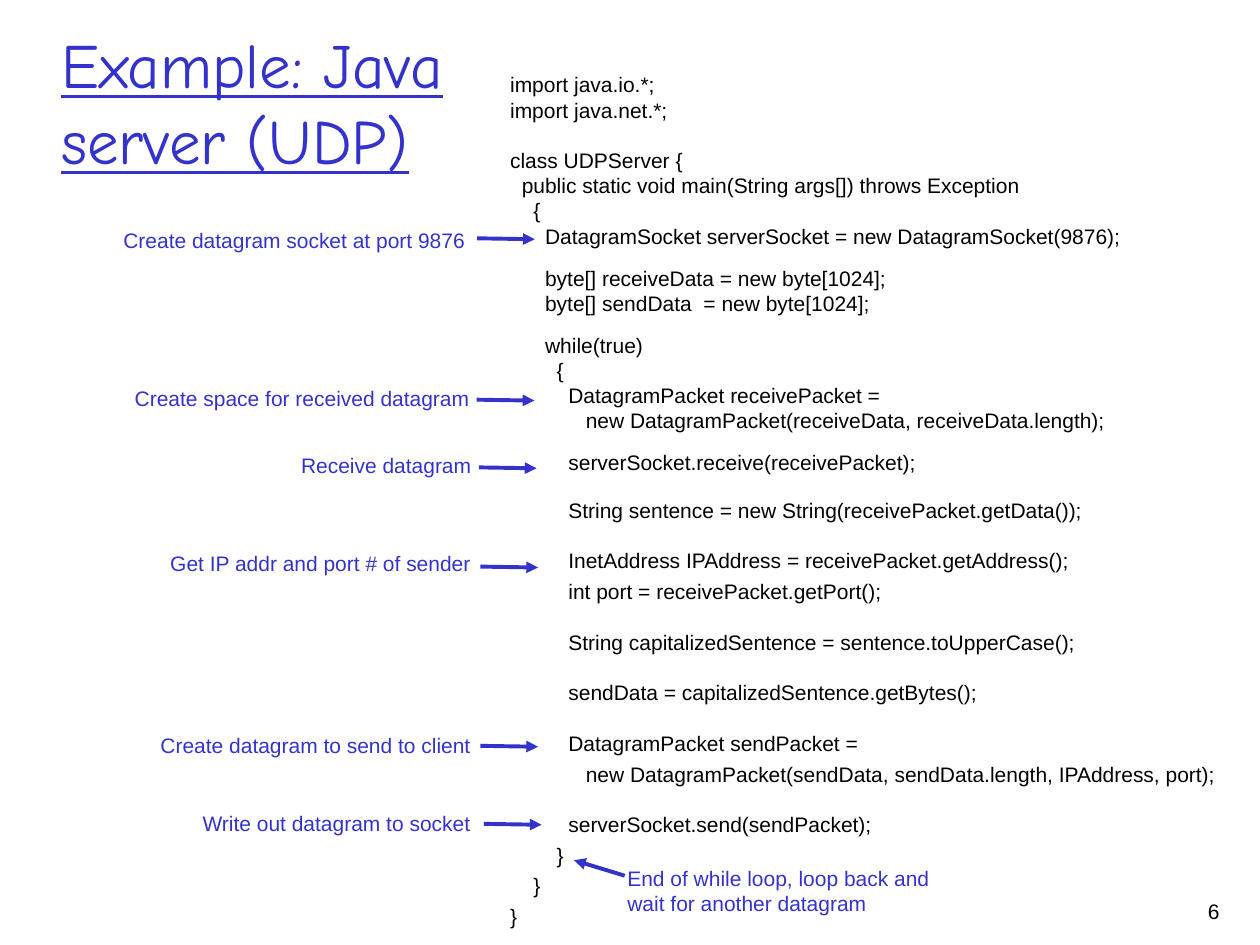
import dataclasses
import typing

import lxml.etree
import pptx
import pptx.dml.color
import pptx.enum.shapes
import pptx.enum.text
import pptx.oxml.ns
import pptx.util

Pt = pptx.util.Pt
ALIGN = pptx.enum.text.PP_ALIGN
ANCHOR = pptx.enum.text.MSO_ANCHOR
AUTO_SIZE = pptx.enum.text.MSO_AUTO_SIZE


@dataclasses.dataclass(frozen=True)
class Theme:
    accent: pptx.dml.color.RGBColor = pptx.dml.color.RGBColor(0x33, 0x33, 0xCC)
    ink: pptx.dml.color.RGBColor = pptx.dml.color.RGBColor(0, 0, 0)
    title_font: str = "Comic Neue"
    body_font: str = "Arial"
    title_size: float = 36
    body_size: float = 12
    line_pitch: float = 14.4
    indent_step: float = 3.33
    arrow_weight: float = 2.25


class Box(typing.NamedTuple):
    left: float
    top: float
    width: float
    height: float


class CodeLine(typing.NamedTuple):
    text: str
    indent: int = 0
    gap: float = 0


class Step(typing.NamedTuple):
    text: str
    right: float
    top: float
    width: float
    arrow_left: float
    arrow_top: float


THEME = Theme()
FULL_GAP, SMALL_GAP, SENTENCE_GAP, WIDE_GAP, LINE_GAP = 14.4, 9.6, 12.6, 14.6, 3
ARROW_RUN, ARROW_DROP = 33, 0.5

CODE = [
    CodeLine("import java.io.*;"),
    CodeLine("import java.net.*;"),
    CodeLine("class UDPServer {", 0, FULL_GAP),
    CodeLine("public static void main(String args[]) throws Exception", 2),
    CodeLine("{", 4),
    CodeLine("DatagramSocket serverSocket = new DatagramSocket(9876);", 6),
    CodeLine("byte[] receiveData = new byte[1024];", 6, SMALL_GAP),
    CodeLine("byte[] sendData  = new byte[1024];", 6),
    CodeLine("while(true)", 6, SMALL_GAP),
    CodeLine("{", 8),
    CodeLine("DatagramPacket receivePacket =", 10),
    CodeLine("new DatagramPacket(receiveData, receiveData.length);", 13),
    CodeLine("serverSocket.receive(receivePacket);", 10, SMALL_GAP),
    CodeLine("String sentence = new String(receivePacket.getData());", 10, SENTENCE_GAP),
    CodeLine("InetAddress IPAddress = receivePacket.getAddress();", 10, WIDE_GAP),
    CodeLine("int port = receivePacket.getPort();", 10, LINE_GAP),
    CodeLine("String capitalizedSentence = sentence.toUpperCase();", 10, WIDE_GAP),
    CodeLine("sendData = capitalizedSentence.getBytes();", 10, WIDE_GAP),
    CodeLine("DatagramPacket sendPacket =", 10, WIDE_GAP),
    CodeLine("new DatagramPacket(sendData, sendData.length, IPAddress, port);", 13, LINE_GAP),
    CodeLine("serverSocket.send(sendPacket);", 10, WIDE_GAP),
    CodeLine("}", 8, LINE_GAP),
    CodeLine("}", 4, LINE_GAP),
    CodeLine("}", 0, LINE_GAP),
]

STEPS = [
    Step("Create datagram socket at port 9876", 273, 126.7, 212, 272.6, 136.2),
    Step("Create space for received datagram", 275.5, 216.7, 208, 272.4, 228.4),
    Step("Receive datagram", 276.5, 255, 124, 273.6, 267.1),
    Step("Get IP addr and port # of sender", 276.2, 311, 195, 274.5, 323.8),
    Step("Create datagram to send to client", 276.2, 414.8, 217, 274.5, 426.2),
    Step("Write out datagram to socket", 276, 459.4, 170, 276.5, 470.8),
]


def add_text(slide, box: Box, text: str, color, align=ALIGN.LEFT, anchor=ANCHOR.MIDDLE,
             font: str = THEME.body_font, size: float = THEME.body_size, underline=None,
             pitch: typing.Optional[float] = THEME.line_pitch, grow: bool = True):
    frame = slide.shapes.add_textbox(*map(Pt, box)).text_frame
    frame.text = text
    frame.word_wrap = True
    frame.vertical_anchor = anchor
    frame.auto_size = AUTO_SIZE.SHAPE_TO_FIT_TEXT if grow else AUTO_SIZE.NONE
    for paragraph in frame.paragraphs:
        paragraph.alignment = align
        if pitch:
            paragraph.line_spacing = Pt(pitch)
        for run in paragraph.runs:
            run.font.name = font
            run.font.size = Pt(size)
            run.font.underline = underline
            run.font.color.rgb = color
    return frame


def add_code(slide, box: Box, lines: typing.List[CodeLine]) -> None:
    frame = add_text(slide, box, "\n".join(line.text for line in lines), THEME.ink)
    for paragraph, line in zip(frame.paragraphs, lines):
        paragraph.space_before = Pt(line.gap)
        properties = paragraph._p.get_or_add_pPr()
        properties.set("marL", str(Pt(line.indent * THEME.indent_step)))
        properties.set("indent", "0")


def add_arrow(slide, x1: float, y1: float, x2: float, y2: float) -> None:
    arrow = slide.shapes.add_connector(
        pptx.enum.shapes.MSO_CONNECTOR.STRAIGHT, Pt(x1), Pt(y1), Pt(x2), Pt(y2))
    arrow.line.color.rgb = THEME.accent
    arrow.line.width = Pt(THEME.arrow_weight)
    qn = pptx.oxml.ns.qn
    lxml.etree.SubElement(arrow.line._get_or_add_ln(), qn("a:tailEnd"), type="triangle")
    lxml.etree.SubElement(arrow._element.spPr, qn("a:effectLst"))


def add_step(slide, step: Step) -> None:
    box = Box(step.right - step.width, step.top, step.width, 21.6)
    add_text(slide, box, step.text, THEME.accent, ALIGN.RIGHT)
    add_arrow(slide, step.arrow_left, step.arrow_top,
              step.arrow_left + ARROW_RUN, step.arrow_top + ARROW_DROP)


def main() -> None:
    deck = pptx.Presentation()
    deck.slide_width, deck.slide_height = Pt(720), Pt(540)
    slide = deck.slides.add_slide(deck.slide_layouts[6])

    add_text(slide, Box(28, 13, 612, 90), "Example: Java\vserver (UDP)", THEME.accent,
             font=THEME.title_font, size=THEME.title_size, underline=True,
             pitch=None, grow=False)
    add_code(slide, Box(284.4, 37.4, 430.6, 496.8), CODE)
    for step in STEPS:
        add_step(slide, step)
    add_text(slide, Box(351.4, 491, 218, 36),
             "End of while loop, loop back and\nwait for another datagram", THEME.accent)
    add_arrow(slide, 357, 500.4, 328, 491.6)
    add_text(slide, Box(651, 510, 53, 25), "6", THEME.ink, ALIGN.RIGHT, ANCHOR.TOP, grow=False)

    deck.save("out.pptx")


if __name__ == "__main__":
    main()
